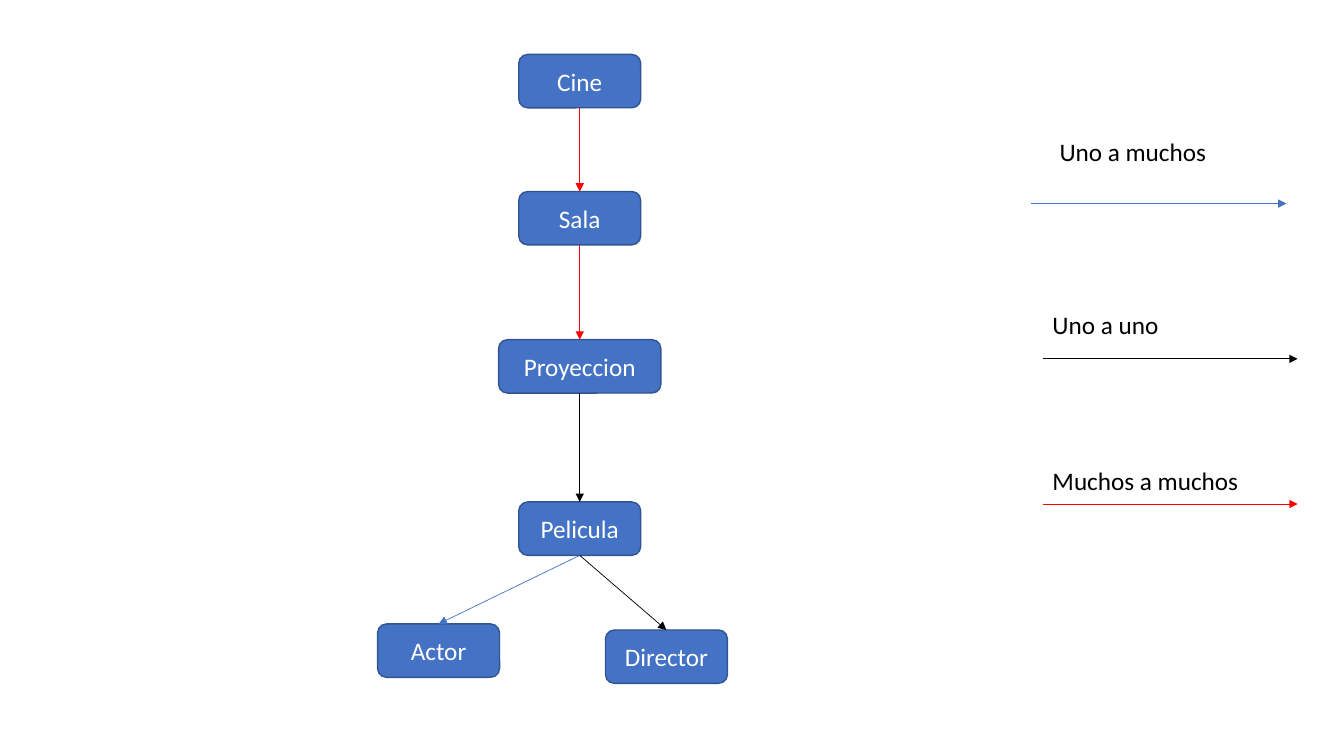
from lxml import etree
from pptx import Presentation
from pptx.dml.color import RGBColor
from pptx.enum.shapes import MSO_CONNECTOR, MSO_SHAPE
from pptx.enum.text import MSO_ANCHOR, MSO_AUTO_SIZE, PP_ALIGN
from pptx.oxml.ns import qn
from pptx.util import Inches, Pt

STRAIGHT = MSO_CONNECTOR.STRAIGHT
ROUNDED = MSO_SHAPE.ROUNDED_RECTANGLE
MIDDLE = MSO_ANCHOR.MIDDLE
CENTER = PP_ALIGN.CENTER
LEFT = PP_ALIGN.LEFT
GROW = MSO_AUTO_SIZE.SHAPE_TO_FIT_TEXT
TOP_SITE, BOTTOM_SITE = 0, 2

COLORS = {
    "blue": "4472C4",
    "border": "325491",
    "black": "000000",
    "red": "FF0000",
    "white": "FFFFFF",
}
RELATION_COLORS = {
    "Uno a muchos": "blue",
    "Uno a uno": "black",
    "Muchos a muchos": "red",
}
ENTITIES = [
    ("Cine", 5.75, 0.54, 1.21),
    ("Sala", 5.75, 1.9, 1.21),
    ("Proyeccion", 5.75, 3.37, 1.61),
    ("Pelicula", 5.75, 4.98, 1.21),
    ("Actor", 4.35, 6.19, 1.21),
    ("Director", 6.61, 6.25, 1.21),
]
RELATIONS = [
    ("Cine", "Sala", "Muchos a muchos"),
    ("Sala", "Proyeccion", "Muchos a muchos"),
    ("Proyeccion", "Pelicula", "Uno a uno"),
    ("Pelicula", "Actor", "Uno a muchos"),
    ("Pelicula", "Director", "Uno a uno"),
]
LEGEND = [
    ("Uno a muchos", 10.41, 1.3, 10.23, 2.02),
    ("Uno a uno", 10.34, 3.02, 10.34, 3.56),
    ("Muchos a muchos", 10.34, 4.57, 10.34, 5),
]
ENTITY_HEIGHT = 0.53
LABEL_WIDTH, LABEL_HEIGHT = 2.12, 0.4
LEGEND_ARROW_LENGTH = 2.53


def color(name):
    return RGBColor.from_string(COLORS[name])


def write(box, text, color_name, alignment):
    box.text_frame.word_wrap = True
    para = box.text_frame.paragraphs[0]
    para.alignment = alignment
    span = para.add_run()
    span.text = text
    for name, value in {"name": "Calibri", "size": Pt(18)}.items():
        setattr(span.font, name, value)
    span.font.color.rgb = color(color_name)


def add_entity(page, name, center, top, width):
    box = page.shapes.add_shape(
        ROUNDED, Inches(center - width / 2), Inches(top), Inches(width), Inches(ENTITY_HEIGHT)
    )
    box.shadow.inherit = False
    box.fill.solid()
    box.fill.fore_color.rgb = color("blue")
    box.line.color.rgb = color("border")
    box.line.width = Pt(1)
    box.text_frame.vertical_anchor = MIDDLE
    write(box, name, "white", CENTER)
    return box


def add_arrow(page, relation, left=0, top=0, length=0):
    arrow = page.shapes.add_connector(
        STRAIGHT, Inches(left), Inches(top), Inches(left + length), Inches(top)
    )
    arrow.line.color.rgb = color(RELATION_COLORS[relation])
    arrow.line.width = Pt(0.5)
    properties = arrow.element.spPr
    etree.SubElement(properties.find(qn("a:ln")), qn("a:tailEnd"), type="triangle")
    etree.SubElement(properties, qn("a:effectLst"))
    return arrow


deck = Presentation()
deck.slide_width, deck.slide_height = Inches(13.33), Inches(7.5)
page = deck.slides.add_slide(deck.slide_layouts[6])

boxes = {entity[0]: add_entity(page, *entity) for entity in ENTITIES}

for source, target, relation in RELATIONS:
    arrow = add_arrow(page, relation)
    arrow.begin_connect(boxes[source], BOTTOM_SITE)
    arrow.end_connect(boxes[target], TOP_SITE)

for relation, label_left, label_top, arrow_left, arrow_top in LEGEND:
    label = page.shapes.add_textbox(
        Inches(label_left), Inches(label_top), Inches(LABEL_WIDTH), Inches(LABEL_HEIGHT)
    )
    write(label, relation, "black", LEFT)
    label.text_frame.auto_size = GROW
    add_arrow(page, relation, arrow_left, arrow_top, LEGEND_ARROW_LENGTH)

deck.save("out.pptx")
